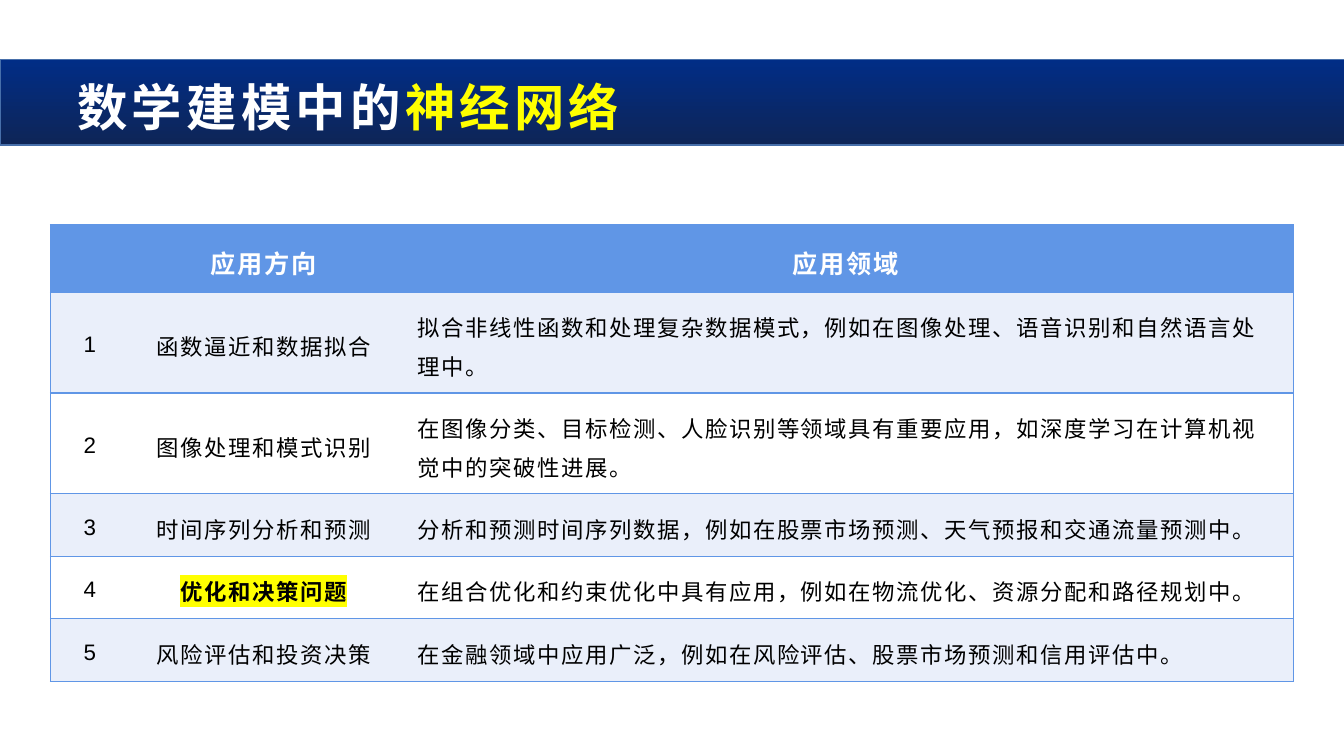
from lxml import etree
from pptx import Presentation
from pptx.dml.color import RGBColor
from pptx.enum import lang, shapes, text
from pptx.oxml import ns
from pptx.util import Inches, Pt

WHITE = RGBColor(0xFF, 0xFF, 0xFF)
BLACK = RGBColor(0, 0, 0)
YELLOW = RGBColor(0xFF, 0xFF, 0)
NAVY = RGBColor(0x01, 0x2D, 0x86)
DARK_NAVY = RGBColor(0x0E, 0x25, 0x57)
BAND_EDGE = RGBColor(0x47, 0x6F, 0xAA)
BLUE = RGBColor(0x60, 0x96, 0xE6)
PALE_BLUE = RGBColor(0xEA, 0xEF, 0xFA)

COLUMNS = [0.78, 2.67, 8.88]
ROWS = [0.67, 1, 1, 0.62, 0.62, 0.62]
HEADER = ["", "应用方向", "应用领域"]
APPLICATIONS = [
    ("函数逼近和数据拟合", "拟合非线性函数和处理复杂数据模式，例如在图像处理、语音识别和自然语言处理中。"),
    ("图像处理和模式识别", "在图像分类、目标检测、人脸识别等领域具有重要应用，如深度学习在计算机视觉中的突破性进展。"),
    ("时间序列分析和预测", "分析和预测时间序列数据，例如在股票市场预测、天气预报和交通流量预测中。"),
    ("优化和决策问题", "在组合优化和约束优化中具有应用，例如在物流优化、资源分配和路径规划中。"),
    ("风险评估和投资决策", "在金融领域中应用广泛，例如在风险评估、股票市场预测和信用评估中。"),
]
KEY_TOPIC = "优化和决策问题"


def add_color(parent, tag, color):
    el = etree.SubElement(parent, ns.qn(tag))
    etree.SubElement(el, ns.qn("a:srgbClr"), val=str(color))
    return el


def add_run(p, content, size=16, color=BLACK, bold=False, spacing=1.2, highlight=None):
    r = p.add_run()
    r.text = content
    f = r.font
    f.size, f.bold, f.name = Pt(size), bold, "Arial"
    f.language_id = lang.MSO_LANGUAGE_ID.SIMPLIFIED_CHINESE
    f.color.rgb = color
    rpr = r._r.get_or_add_rPr()
    rpr.set("spc", str(round(spacing * 100)))
    if highlight is not None:
        rpr.find(ns.qn("a:solidFill")).addnext(add_color(rpr, "a:highlight", highlight))


def add_band(s):
    sp = s.shapes.add_shape(shapes.MSO_SHAPE.RECTANGLE, 0, Inches(0.59), Inches(13.4), Inches(0.85))
    sp.shadow.inherit = False
    sp.fill.gradient()
    sp.fill.gradient_angle = 270
    for stop, color in zip(sp.fill.gradient_stops, (NAVY, DARK_NAVY)):
        stop.color.rgb = color
    sp.line.color.rgb = BAND_EDGE
    sp.line.width = Pt(1)


def add_title(s):
    sp = s.shapes.add_textbox(Inches(0.67), Inches(0.67), Inches(12), Inches(0.77))
    tf = sp.text_frame
    tf.word_wrap = True
    tf.vertical_anchor = text.MSO_ANCHOR.MIDDLE
    p = tf.paragraphs[0]
    for content, color in (("数学建模中的", WHITE), ("神经网络", YELLOW)):
        add_run(p, content, size=36, color=color, bold=True, spacing=3)


def set_borders(cell, sides):
    tcpr = cell._tc.get_or_add_tcPr()
    for side in "LRTB":
        ln = etree.SubElement(tcpr, ns.qn(f"a:ln{side}"), w=str(Pt(1)))
        if side in sides:
            add_color(ln, "a:solidFill", BLUE)
        else:
            etree.SubElement(ln, ns.qn("a:noFill"))


def fill_cell(cell, content, fill, borders, centered=True, **style):
    set_borders(cell, borders)
    cell.fill.solid()
    cell.fill.fore_color.rgb = fill
    cell.margin_left = cell.margin_right = Inches(0.19)
    cell.margin_top = cell.margin_bottom = Inches(0.12)
    cell.vertical_anchor = text.MSO_ANCHOR.MIDDLE
    p = cell.text_frame.paragraphs[0]
    p.line_spacing = 1.2
    if centered:
        p.alignment = text.PP_ALIGN.CENTER
    if content:
        add_run(p, content, **style)


def add_applications(s):
    table = s.shapes.add_table(len(ROWS), len(COLUMNS), Inches(0.5), Inches(2.23),
                               Inches(sum(COLUMNS)), Inches(sum(ROWS))).table
    for column, width in zip(table.columns, COLUMNS):
        column.width = Inches(width)
    for row, height in zip(table.rows, ROWS):
        row.height = Inches(height)
    borders = ["LTB", "TB", "RTB"]
    for j, heading in enumerate(HEADER):
        fill_cell(table.cell(0, j), heading, BLUE, borders[j],
                  size=18, color=WHITE, bold=True, spacing=1.3)
    for i, (topic, field) in enumerate(APPLICATIONS, 1):
        fill = PALE_BLUE if i % 2 else WHITE
        for j, content in enumerate((str(i), topic, field)):
            key = content == KEY_TOPIC
            fill_cell(table.cell(i, j), content, fill, borders[j], centered=j < 2,
                      bold=key, highlight=YELLOW if key else None)


def main():
    prs = Presentation()
    prs.slide_width, prs.slide_height = Inches(13.33), Inches(7.5)
    s = prs.slides.add_slide(prs.slide_layouts[6])
    add_band(s)
    add_title(s)
    add_applications(s)
    prs.save("out.pptx")


if __name__ == "__main__":
    main()
